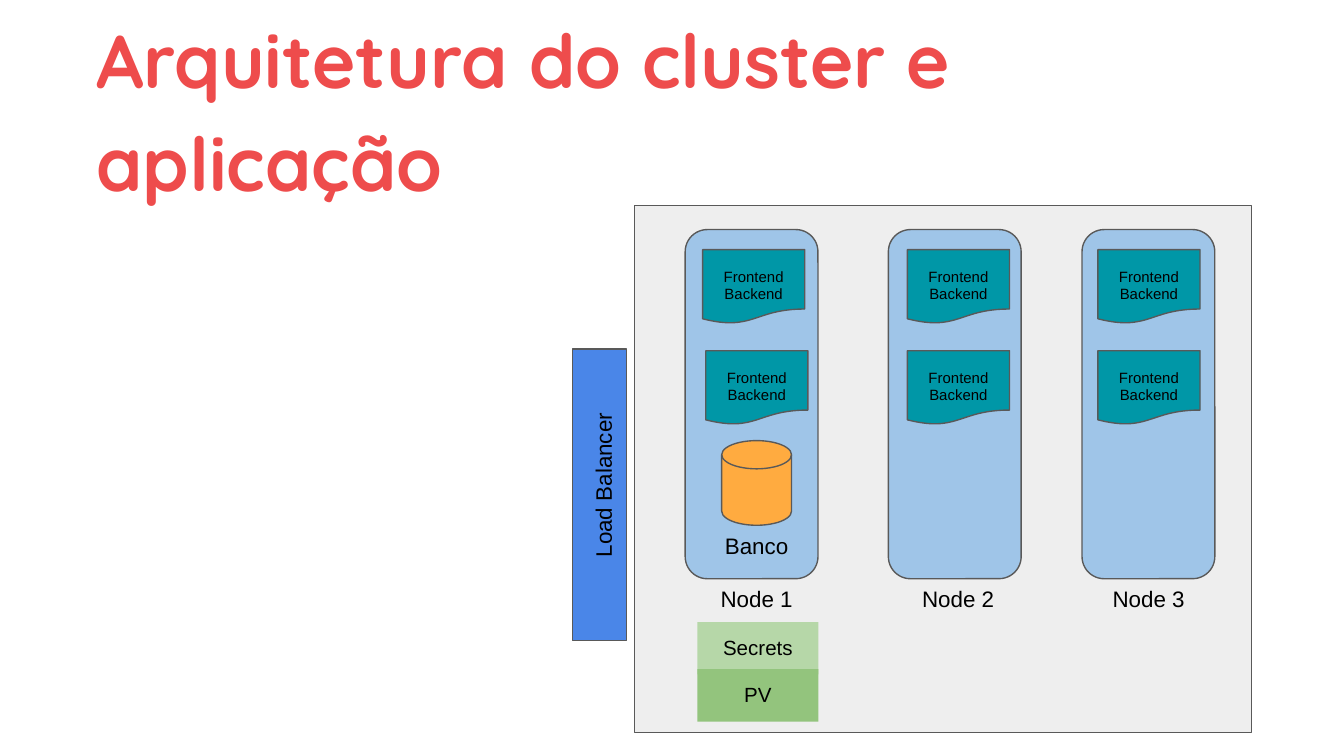
from pptx import Presentation
from pptx.dml.color import RGBColor
from pptx.enum.shapes import MSO_SHAPE
from pptx.enum.text import MSO_ANCHOR, PP_ALIGN
from pptx.util import Cm, Pt

COLORS = {
    "title": "EE4C4C", "text": "000000", "outline": "595959",
    "cluster": "EEEEEE", "node": "9FC5E8", "balancer": "4A86E8",
    "app": "0097A7", "database": "FFAB40",
    "secrets": "B6D7A8", "volume": "93C47D",
}

deck = Presentation()
deck.slide_width, deck.slide_height = Cm(25.4), Cm(14.29)
page = deck.slides.add_slide(deck.slide_layouts[6])


def add_box(kind, color, left, top, width, height, outlined=True):
    box = page.shapes.add_shape(kind, Cm(left), Cm(top), Cm(width), Cm(height))
    box.shadow.inherit = False
    box.fill.solid()
    box.fill.fore_color.rgb = RGBColor.from_string(COLORS[color])
    if outlined:
        box.line.color.rgb = RGBColor.from_string(COLORS["outline"])
        box.line.width = Pt(0.75)
    else:
        box.line.fill.background()
    return box


def write(text, size, left, top, width, height, color="text", font="Arial",
          align=PP_ALIGN.CENTER, box=None):
    """Put text in the given box, or in a new text box at the given place."""
    if box is None:
        box = page.shapes.add_textbox(Cm(left), Cm(top), Cm(width), Cm(height))
    frame = box.text_frame
    frame.word_wrap = True
    frame.vertical_anchor = MSO_ANCHOR.TOP
    frame.margin_left = frame.margin_right = Cm(0.25)
    frame.margin_top = frame.margin_bottom = Cm(0.25)
    frame.text = text
    for para in frame.paragraphs:
        para.alignment = align
        for span in para.runs:
            span.font.name = font
            span.font.size = Pt(size)
            span.font.color.rgb = RGBColor.from_string(COLORS[color])
    return box


# Title
title = write("Arquitetura do cluster e aplicação", 40, 1.57, 0.79, 20.57, 2.34,
              "title", "Quicksand", PP_ALIGN.LEFT)
title.text_frame.vertical_anchor = MSO_ANCHOR.MIDDLE
title.text_frame.paragraphs[0].line_spacing = 1.15
title.text_frame.paragraphs[0].runs[0].font.bold = True

# Cluster and load balancer
add_box(MSO_SHAPE.RECTANGLE, "cluster", 11.99, 3.89, 11.66, 9.96)
add_box(MSO_SHAPE.RECTANGLE, "balancer", 10.82, 6.6, 1.02, 5.51)
balancer_label = write("Load Balancer", 12, 9.19, 8.66, 4.42, 1.02)
balancer_label.rotation = 270

# Nodes: left of the node, of its label and of its two application documents
nodes = [
    (12.95, 13.21, (13.28, 13.34)),
    (16.79, 17.02, (17.15, 17.15)),
    (20.45, 20.62, (20.75, 20.75)),
]
for number, (node_left, label_left, app_lefts) in enumerate(nodes, start=1):
    add_box(MSO_SHAPE.ROUNDED_RECTANGLE, "node", node_left, 4.34, 2.51, 6.6)
    write(f"Node {number}", 12, label_left, 10.82, 2.18, 1.02)
    for left, top in zip(app_lefts, (4.72, 6.63)):
        add_box(MSO_SHAPE.FLOWCHART_DOCUMENT, "app", left, top, 1.93, 1.4)
        write("Frontend\nBackend", 8, left - 0.33, top + 0.08, 2.59, 1.19)

# Database on the first node
add_box(MSO_SHAPE.FLOWCHART_MAGNETIC_DISK, "database", 13.64, 8.33, 1.32, 1.6)
write("Banco", 12, 12.93, 9.8, 2.74, 1.02)

# Cluster resources
for text, color, top in (("Secrets", "secrets", 11.76), ("PV", "volume", 12.65)):
    place = (13.18, top, 2.29, 0.99)
    resource = add_box(MSO_SHAPE.RECTANGLE, color, *place, outlined=False)
    write(text, 11, *place, box=resource)

deck.save("out.pptx")
